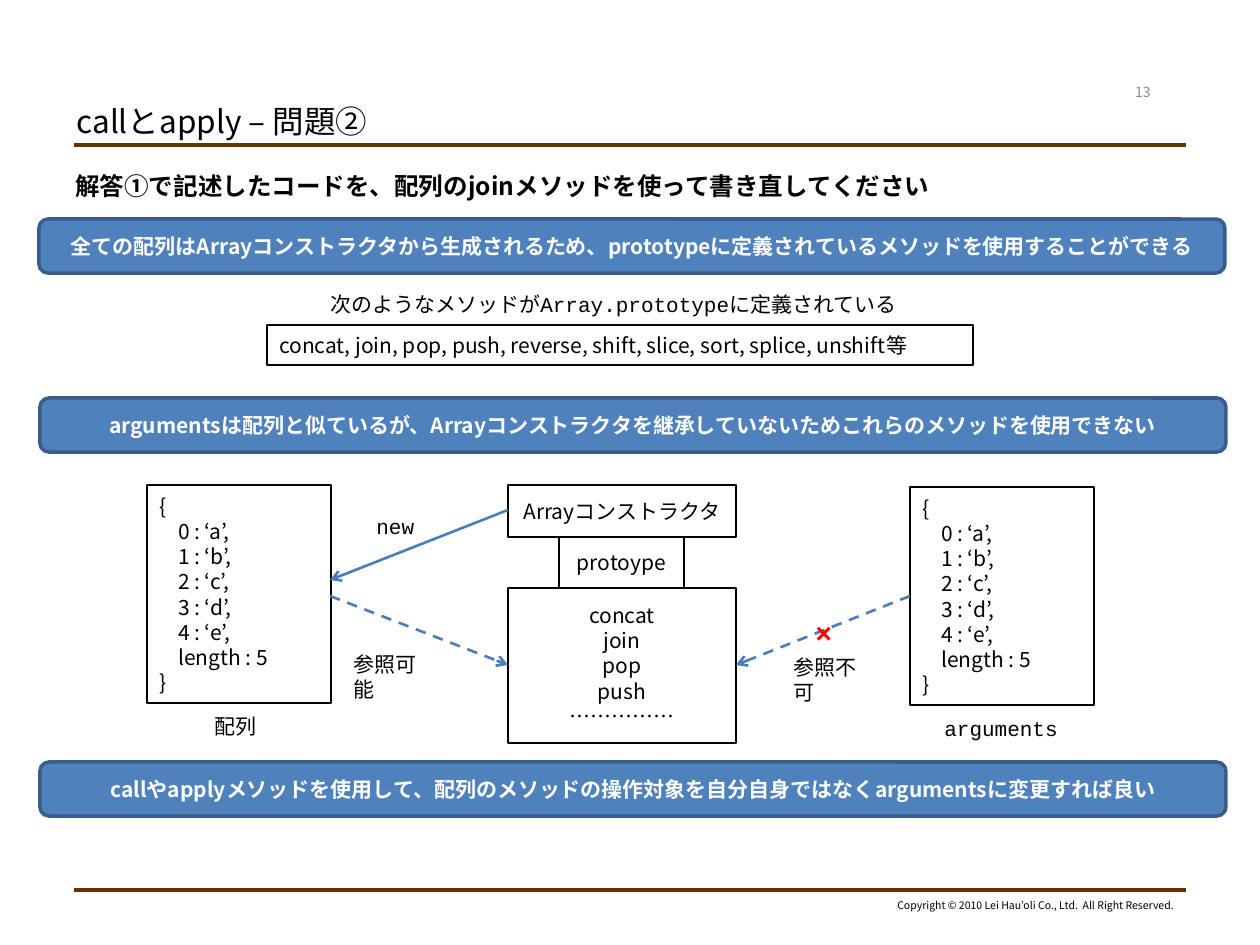
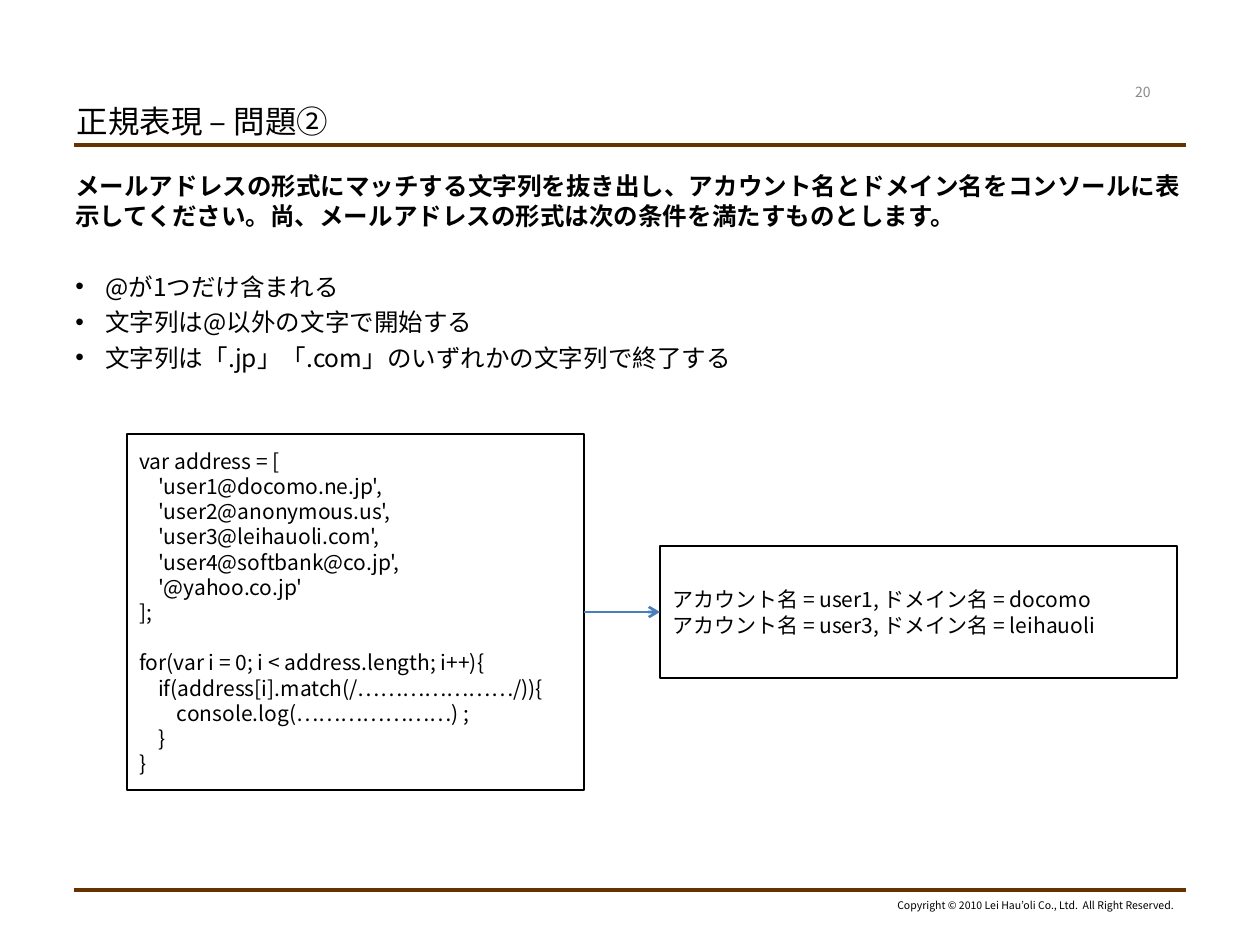
"""Build two exercise slides on JavaScript call/apply and regular expressions."""
from lxml.etree import SubElement
from pptx import Presentation
from pptx.dml.color import RGBColor
from pptx.enum.dml import MSO_LINE
from pptx.enum.shapes import MSO_CONNECTOR, MSO_SHAPE
from pptx.enum.text import MSO_ANCHOR, MSO_AUTO_SIZE, PP_ALIGN
from pptx.oxml.ns import qn
from pptx.util import Pt

PX = 914400 / 126
SANS, MONO = "Noto Sans CJK JP", "Courier New"
BLACK, WHITE, GRAY, RED = "000000", "FFFFFF", "898989", "FF0000"
BROWN, BLUE, NAVY, ARROW = "663300", "4F81BD", "385D8A", "4A7EBB"
COPYRIGHT = "Copyright © 2010 Lei Hau’oli Co., Ltd.  All Right Reserved."

ARRAY_LIKE = """{
    0 : ‘a’,
    1 : ‘b’,
    2 : ‘c’,
    3 : ‘d’,
    4 : ‘e’,
    length : 5
}"""

MATCH_CODE = """var address = [
    'user1@docomo.ne.jp',
    'user2@anonymous.us',
    'user3@leihauoli.com',
    'user4@softbank@co.jp',
    '@yahoo.co.jp'
];

for(var i = 0; i < address.length; i++){
    if(address[i].match(/…………………/)){
        console.log(…………………) ;
    }
}"""

MATCH_RESULT = """アカウント名 = user1, ドメイン名 = docomo
アカウント名 = user3, ドメイン名 = leihauoli"""


def emu(px):
    return round(px * PX)


def rgb(value):
    return RGBColor.from_string(value)


class Deck:
    def __init__(self):
        self.prs = Presentation()
        self.prs.slide_width, self.prs.slide_height = emu(1260), emu(945)
        self.s = None

    def slide(self, title, number):
        self.s = self.prs.slides.add_slide(self.prs.slide_layouts[5])
        sp = self.s.shapes.title
        sp.left, sp.top, sp.width, sp.height = map(emu, (64, 96, 716, 49))
        self.frame(sp, anchor=MSO_ANCHOR.MIDDLE)
        self.put_text(sp, title, size=18)
        for y in (145, 890):
            self.line((74, y), (1186, y), BROWN, 2.25)
        self.label(881, 893, 305, 25, COPYRIGHT, size=6, align=PP_ALIGN.RIGHT)
        self.box(1106, 77, 74, 30, number, line=None, size=8, color=GRAY,
                 align=PP_ALIGN.CENTER)

    def frame(self, sp, wrap=True, anchor=MSO_ANCHOR.TOP, grow=False):
        fit = MSO_AUTO_SIZE.SHAPE_TO_FIT_TEXT if grow else MSO_AUTO_SIZE.NONE
        formats = {"word_wrap": wrap, "vertical_anchor": anchor,
                   "auto_size": fit}
        for name, value in formats.items():
            setattr(sp.text_frame, name, value)

    def put_text(self, sp, text, **style):
        tf = sp.text_frame
        gap = 0
        p = tf.paragraphs[0]
        for i, line in enumerate(text.split("\n")):
            if not line:
                gap += style.get("size", 12) * 1.2
                continue
            if i:
                p = tf.add_paragraph()
            self.paragraph(p, line, before=gap, **style)
            gap = 0

    def paragraph(self, p, text, size=12, color=BLACK, bold=False, font=SANS,
                  align=PP_ALIGN.LEFT, before=0):
        formats = {"alignment": align, "line_spacing": Pt(size * 1.2),
                   "space_before": Pt(before)}
        for name, value in formats.items():
            setattr(p, name, value)
        r = p.add_run()
        r.text = text
        formats = {"size": Pt(size), "bold": bold, "name": font}
        for name, value in formats.items():
            setattr(r.font, name, value)
        r.font.color.rgb = rgb(color)
        SubElement(r._r.get_or_add_rPr(), qn("a:ea"), typeface=SANS)

    def textbox(self, x, y, w, h):
        return self.s.shapes.add_textbox(*map(emu, (x, y, w, h)))

    def label(self, x, y, w, h, text, **style):
        sp = self.textbox(x, y, w, h)
        self.frame(sp, wrap=False, grow=True)
        self.put_text(sp, text, **style)

    def body(self, question, bullets=()):
        sp = self.textbox(63, 165, 1134, 704)
        self.frame(sp)
        self.put_text(sp, question, size=14, bold=True)
        for i, text in enumerate(bullets):
            p = sp.text_frame.add_paragraph()
            pPr = p._p.get_or_add_pPr()
            pPr.set("marL", str(emu(30)))
            pPr.set("indent", str(-emu(30)))
            clr = SubElement(pPr, qn("a:buClr"))
            SubElement(clr, qn("a:srgbClr"), val=BLACK)
            SubElement(pPr, qn("a:buFont"), typeface="Arial")
            SubElement(pPr, qn("a:buChar"), char="•")
            self.paragraph(p, text, size=14, before=3.5 if i else 23.8)

    def box(self, x, y, w, h, text, kind=MSO_SHAPE.RECTANGLE, fill=None,
            line=BLACK, width=1, **style):
        sp = self.s.shapes.add_shape(kind, *map(emu, (x, y, w, h)))
        sp.shadow.inherit = False
        for part, value in ((sp.fill, fill), (sp.line.fill, line)):
            if value:
                part.solid()
                part.fore_color.rgb = rgb(value)
            else:
                part.background()
        if line:
            sp.line.width = Pt(width)
        self.frame(sp, anchor=MSO_ANCHOR.MIDDLE)
        self.put_text(sp, text, **style)

    def band(self, x, y, text):
        self.box(x, y, 1186, 54, text, MSO_SHAPE.ROUNDED_RECTANGLE, BLUE,
                 NAVY, 2, color=WHITE, bold=True, align=PP_ALIGN.CENTER)

    def line(self, start, end, color, width, dash=False, head=False):
        sp = self.s.shapes.add_connector(
            MSO_CONNECTOR.STRAIGHT, *map(emu, (*start, *end)))
        sp.line.color.rgb = rgb(color)
        sp.line.width = Pt(width)
        if dash:
            sp.line.dash_style = MSO_LINE.DASH
        spPr = sp._element.spPr
        if head:
            SubElement(spPr.find(qn("a:ln")), qn("a:tailEnd"), type="arrow")
        SubElement(spPr, qn("a:effectLst"))

    def arrow(self, start, end, dash=False):
        self.line(start, end, ARROW, 1.5, dash, head=True)


def call_and_apply(deck):
    deck.slide("callとapply – 問題②", "13")
    deck.body("解答①で記述したコードを、配列のjoinメソッドを使って書き直してください")
    deck.band(39, 219, "全ての配列はArrayコンストラクタから生成されるため、"
              "prototypeに定義されているメソッドを使用することができる")
    deck.band(40, 398, "argumentsは配列と似ているが、"
              "Arrayコンストラクタを継承していないためこれらのメソッドを使用できない")
    deck.band(40, 762, "callやapplyメソッドを使用して、"
              "配列のメソッドの操作対象を自分自身ではなくargumentsに変更すれば良い")
    deck.box(267, 325, 706, 40, "concat, join, pop, push, reverse, shift, "
             "slice, sort, splice, unshift等")
    for x, y in ((147, 485), (910, 487)):
        deck.box(x, y, 184, 218, ARRAY_LIKE)
    for x, y, w, h, text in (
            (508, 485, 228, 52, "Arrayコンストラクタ"),
            (559, 537, 125, 51, "protoype"),
            (508, 588, 228, 155, "concat\njoin\npop\npush\n……………")):
        deck.box(x, y, w, h, text, align=PP_ALIGN.CENTER)
    deck.arrow((508, 510), (330, 580))
    deck.arrow((330, 596), (508, 665), dash=True)
    deck.arrow((910, 596), (736, 665), dash=True)
    for x, y, w, text in (
            (318, 285, 602, "次のようなメソッドがArray.prototypeに定義されている"),
            (202, 707, 67, "配列"),
            (932, 709, 139, "arguments"),
            (364, 507, 63, "new"),
            (341, 645, 108, "参照可能"),
            (781, 648, 108, "参照不可")):
        deck.label(x, y, w, 38, text, font=MONO)
    deck.label(803, 609, 42, 47, "×", size=16, color=RED, bold=True, font=MONO)


def regular_expression(deck):
    deck.slide("正規表現 – 問題②", "20")
    deck.body("メールアドレスの形式にマッチする文字列を抜き出し、"
              "アカウント名とドメイン名をコンソールに表示してください。"
              "尚、メールアドレスの形式は次の条件を満たすものとします。",
              ("@が1つだけ含まれる",
               "文字列は@以外の文字で開始する",
               "文字列は「.jp」「.com」のいずれかの文字列で終了する"))
    deck.box(127, 434, 457, 356, MATCH_CODE)
    deck.box(660, 546, 517, 132, MATCH_RESULT)
    deck.arrow((584, 612), (660, 612))


def main():
    deck = Deck()
    call_and_apply(deck)
    regular_expression(deck)
    deck.prs.save("out.pptx")


if __name__ == "__main__":
    main()
